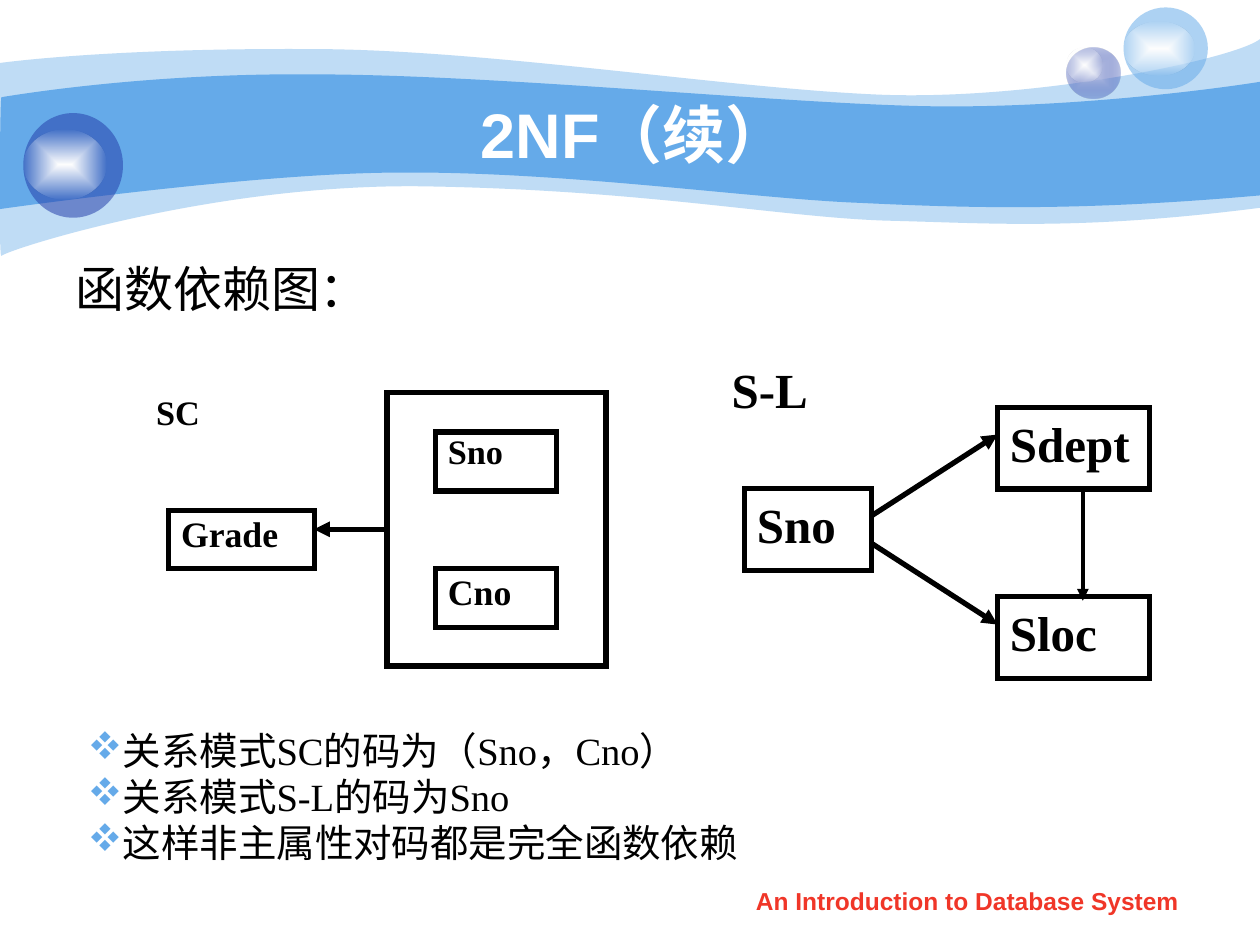
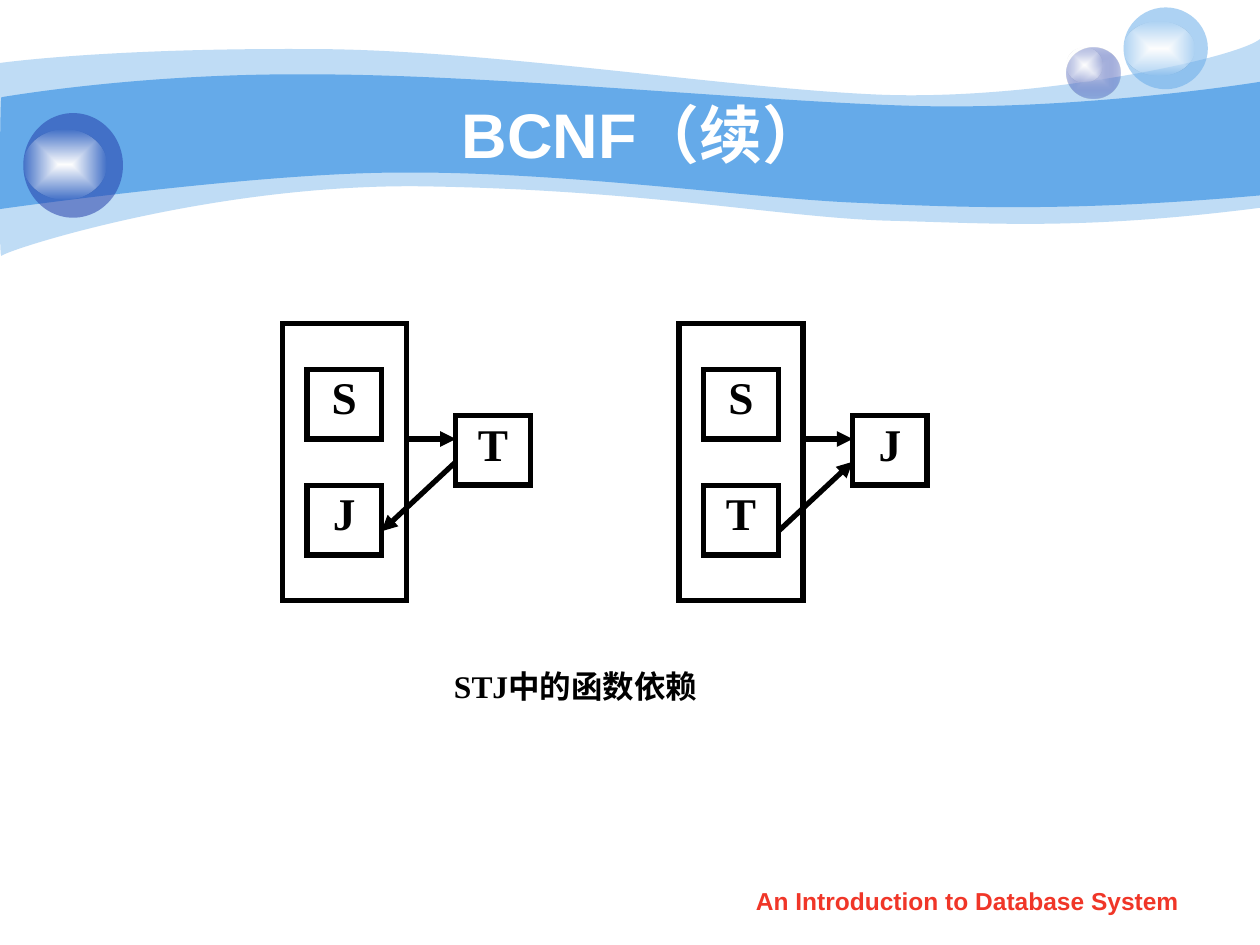
from lxml import etree
from pptx import Presentation
from pptx.dml.color import RGBColor
from pptx.enum.shapes import MSO_CONNECTOR, MSO_SHAPE
from pptx.enum.text import MSO_ANCHOR, PP_ALIGN
from pptx.oxml.ns import qn
from pptx.util import Cm, Pt

RECT, OVAL = MSO_SHAPE.RECTANGLE, MSO_SHAPE.OVAL
STRAIGHT = MSO_CONNECTOR.STRAIGHT
LEFT, CENTER = PP_ALIGN.LEFT, PP_ALIGN.CENTER
TOP, MIDDLE = MSO_ANCHOR.TOP, MSO_ANCHOR.MIDDLE

COLORS = {"sky": "65AAE9", "navy": "233DA9", "mist": "C7CEE9",
          "white": "FFFFFF", "black": "000000", "red": "F03628"}
SANS, SERIF, SYMBOLS = "Arial", "Times New Roman", "Wingdings"
DIAMONDS = "v"
BLANK_LAYOUT = 6

PALE_WAVE = [
    [(0, 1.27)],
    [(0.61, 1.19), (2.72, 0.97), (6.27, 0.99)],
    [(9.8, 0.99), (14.61, 1.78), (17.75, 1.91)],
    [(20.88, 2.03), (24.89, 1.19), (25.4, 0.79)],
    [(25.4, 4.19)],
    [(21.79, 4.65), (19.99, 4.5), (17.91, 4.45)],
    [(15.8, 4.39), (13.08, 3.84), (8.71, 3.76)],
    [(4.37, 3.66), (0.1, 5.05), (0.03, 5.16)],
    [(-0.03, 5.28), (0, 1.9), (0, 1.27)],
]
DEEP_WAVE = [
    [(0.03, 1.96)],
    [(0.05, 1.96), (2.79, 1.47), (6.3, 1.5)],
    [(9.8, 1.5), (15.11, 2.03), (18.24, 2.13)],
    [(21.36, 2.24), (24.79, 1.75), (25.4, 1.65)],
    [(25.4, 3.94)],
    [(21.67, 4.27), (19.43, 4.19), (17.32, 4.09)],
    [(15.21, 4.01), (11.35, 3.45), (8.05, 3.48)],
    [(5.16, 3.48), (-0.05, 4.22), (-0.03, 4.22)],
    [(0, 4.22), (0, 1.96), (0.03, 1.96)],
]


def rgb(name):
    """Return the named colour."""
    return RGBColor.from_string(COLORS[name])


def cm_box(box):
    """Turn a box or point in centimetres into lengths."""
    return [Cm(value) for value in box]


def shift(origin, box):
    """Move a box or point from region coordinates to page coordinates."""
    return (origin[0] + box[0], origin[1] + box[1], *box[2:])


def set_solid(shape, color, opacity=100):
    """Fill a shape without outline, with an opacity in percent."""
    shape.shadow.inherit = False
    shape.line.fill.background()
    shape.fill.solid()
    shape.fill.fore_color.rgb = rgb(color)
    if opacity < 100:
        tint = shape.fill._xPr.find(qn("a:solidFill"))[0]
        etree.SubElement(tint, qn("a:alpha"), val=str(opacity * 1000))


def set_glow(shape, inner, outer, opacity):
    """Fill a shape from its centre outwards, fading to an opacity."""
    set_solid(shape, inner)
    fill = etree.Element(qn("a:gradFill"), rotWithShape="1")
    stops = etree.SubElement(fill, qn("a:gsLst"))
    for position, color, alpha in ((0, inner, 100), (100, outer, opacity)):
        stop = etree.SubElement(stops, qn("a:gs"), pos=str(position * 1000))
        tint = etree.SubElement(stop, qn("a:srgbClr"), val=COLORS[color])
        etree.SubElement(tint, qn("a:alpha"), val=str(alpha * 1000))
    route = etree.SubElement(fill, qn("a:path"), path="rect")
    etree.SubElement(route, qn("a:fillToRect"),
                     {side: "50000" for side in "ltrb"})
    props = shape._element.spPr
    props.replace(props.find(qn("a:solidFill")), fill)


def set_bullet(para, mark):
    """Put a coloured symbol before a paragraph."""
    props = para._p.get_or_add_pPr()
    tint = etree.SubElement(props, qn("a:buClr"))
    etree.SubElement(tint, qn("a:srgbClr"), val=COLORS["sky"])
    etree.SubElement(props, qn("a:buFont"), typeface=SYMBOLS, charset="2")
    etree.SubElement(props, qn("a:buChar"), char=mark)


def write(shape, text, size, font=SERIF, color="black", bold=True, align=LEFT,
          anchor=TOP, spacing=None, before=None, bullet=None):
    """Write each line of text as a formatted paragraph of the shape."""
    frame = shape.text_frame
    frame.word_wrap = True
    frame.vertical_anchor = anchor
    for number, line in enumerate(text.split("\n")):
        para = frame.add_paragraph() if number else frame.paragraphs[0]
        para.alignment = align
        if spacing:
            para.line_spacing = spacing
        if before:
            para.space_before = Pt(before)
        if bullet:
            set_bullet(para, bullet)
        span = para.add_run()
        span.text = line
        span.font.size, span.font.name, span.font.bold = Pt(size), font, bold
        span.font.color.rgb = rgb(color)


def add_text(page, box, text, size, **style):
    """Add a text box."""
    write(page.shapes.add_textbox(*cm_box(box)), text, size, **style)


def add_frame(page, box, text="", size=28, **style):
    """Add an outlined rectangle, with a label if there is one."""
    shape = page.shapes.add_shape(RECT, *cm_box(box))
    shape.shadow.inherit = False
    shape.fill.background()
    shape.line.color.rgb = rgb("black")
    shape.line.width = Pt(3)
    etree.SubElement(shape.line._get_or_add_ln(), qn("a:miter"), lim="800000")
    if text:
        write(shape, text, size, **style)


def add_arrow(page, origin, start, end, weight=3):
    """Draw an arrow between two points of a region."""
    ends = cm_box(shift(origin, start) + shift(origin, end))
    arrow = page.shapes.add_connector(STRAIGHT, *ends)
    arrow.line.color.rgb = rgb("black")
    arrow.line.width = Pt(weight)
    etree.SubElement(arrow.line._get_or_add_ln(), qn("a:tailEnd"),
                     type="triangle")
    etree.SubElement(arrow._element.spPr, qn("a:effectLst"))


def add_wave(page, outline, opacity):
    """Draw a band, turning each three-point segment into a curve."""
    corners = [cm_box(segment[-1]) for segment in outline]
    builder = page.shapes.build_freeform(*corners[0])
    builder.add_line_segments(corners[1:], close=True)
    wave = builder.convert_to_shape()
    sides = list(wave._element.iter(qn("a:lnTo")))
    for side, segment in zip(sides, outline[1:]):
        if len(segment) == 3:
            curve = etree.Element(qn("a:cubicBezTo"))
            for point in segment:
                x, y = cm_box(point)
                etree.SubElement(curve, qn("a:pt"), x=str(x - wave.left),
                                 y=str(y - wave.top))
            side.getparent().replace(side, curve)
    set_solid(wave, "sky", opacity)


def add_ball(page, box, shine):
    """Draw a ball with a white shine placed relative to it."""
    ball = page.shapes.add_shape(OVAL, *cm_box(box))
    glint = page.shapes.add_shape(OVAL, *cm_box(shift(box, shine)))
    set_glow(glint, "white", "white", 0)
    return ball


def add_page(deck, title):
    """Add a page with the waves, balls, footer and title."""
    page = deck.slides.add_slide(deck.slide_layouts[BLANK_LAYOUT])
    add_wave(page, PALE_WAVE, 41)
    add_wave(page, DEEP_WAVE, 100)
    small = add_ball(page, (21.51, 0.97, 1.07, 1.02), (0, 0, 0.71, 0.69))
    set_glow(small, "mist", "navy", 31)
    pale = add_ball(page, (22.65, 0.15, 1.7, 1.65), (0, 0.28, 1.42, 1.09))
    set_solid(pale, "sky", 53)
    dark = add_ball(page, (0.47, 2.28, 2.01, 2.11), (0, 0.33, 1.68, 1.42))
    set_solid(dark, "navy", 53)
    add_text(page, (14.5, 17.73, 10.01, 0.89),
             "An Introduction to Database System", 14,
             font=SANS, color="red", align=CENTER)
    add_text(page, (2.54, 1.9, 20.52, 1.57), title, 36,
             font=SANS, color="white", align=CENTER, anchor=MIDDLE)
    return page


def draw_sc(page, origin):
    """Draw the dependency of Grade on the pair Sno and Cno."""
    add_frame(page, shift(origin, (4.9, 0, 4.42, 5.51)))
    add_frame(page, shift(origin, (5.88, 0.79, 2.44, 1.19)), "Sno", 19.6,
              spacing=0.8)
    add_frame(page, shift(origin, (5.88, 3.54, 2.44, 1.19)), "Cno", 20.4,
              spacing=0.9)
    add_frame(page, shift(origin, (0.5, 2.37, 2.94, 1.17)), "Grade", 20.4,
              spacing=0.9)
    add_arrow(page, origin, (4.9, 2.75), (3.43, 2.75))
    add_text(page, shift(origin, (0, 0, 2.46, 1.17)), "SC", 19.6, spacing=0.8)


def draw_sl(page, origin):
    """Draw the dependencies among Sno, Sdept and Sloc."""
    add_text(page, shift(origin, (0, 0, 3.07, 1.65)), "S-L", 28)
    for label, left, top, width in (("Sno", 0.51, 2.72, 2.56),
                                    ("Sdept", 5.61, 1.08, 3.07),
                                    ("Sloc", 5.61, 4.9, 3.07)):
        add_frame(page, shift(origin, (left, top, width, 1.65)), label)
    add_arrow(page, origin, (3.05, 3.28), (5.61, 1.63))
    add_arrow(page, origin, (3.05, 3.81), (5.61, 5.46))
    add_arrow(page, origin, (7.33, 2.79), (7.33, 4.98), weight=2.25)


def draw_stj(page, origin, upper, lower, target, returns):
    """Draw a pair of attributes, its target and the slanted dependency."""
    add_frame(page, shift(origin, (0, 0, 2.5, 5.59)))
    for label, left, top in ((upper, 0.5, 0.93), (lower, 0.5, 3.27),
                             (target, 3.5, 1.86)):
        add_frame(page, shift(origin, (left, top, 1.5, 1.4)), label, 25.9,
                  align=CENTER, spacing=0.9)
    add_arrow(page, origin, (2.5, 2.33), (3.5, 2.33))
    slant = [(2, 4.19), (3.5, 2.79)]
    add_arrow(page, origin, *(reversed(slant) if returns else slant))


def build_2nf(deck):
    """Build the page on the second normal form."""
    page = add_page(deck, "2NF（续）")
    add_text(page, (1.27, 5.08, 22.86, 12.5), "函数依赖图：", 28,
             font=SANS, bold=False, before=7)
    draw_sc(page, (2.9, 7.92))
    draw_sl(page, (14.5, 7.13))
    add_text(page, (1.52, 14.53, 13.75, 3.05),
             "关系模式SC的码为（Sno，Cno）\n关系模式S-L的码为Sno\n"
             "这样非主属性对码都是完全函数依赖", 22,
             bold=False, anchor=MIDDLE, bullet=DIAMONDS)


def build_bcnf(deck):
    """Build the page on the Boyce-Codd normal form."""
    page = add_page(deck, " BCNF（续）")
    draw_stj(page, (5.69, 6.52), "S", "J", "T", returns=True)
    draw_stj(page, (13.69, 6.52), "S", "T", "J", returns=False)
    add_text(page, (8.71, 13.32, 5.79, 1.4), "STJ中的函数依赖", 18, align=CENTER)


def main():
    """Build and save the deck."""
    deck = Presentation()
    deck.slide_width, deck.slide_height = Cm(25.4), Cm(19.05)
    build_2nf(deck)
    build_bcnf(deck)
    deck.save("out.pptx")


if __name__ == "__main__":
    main()
